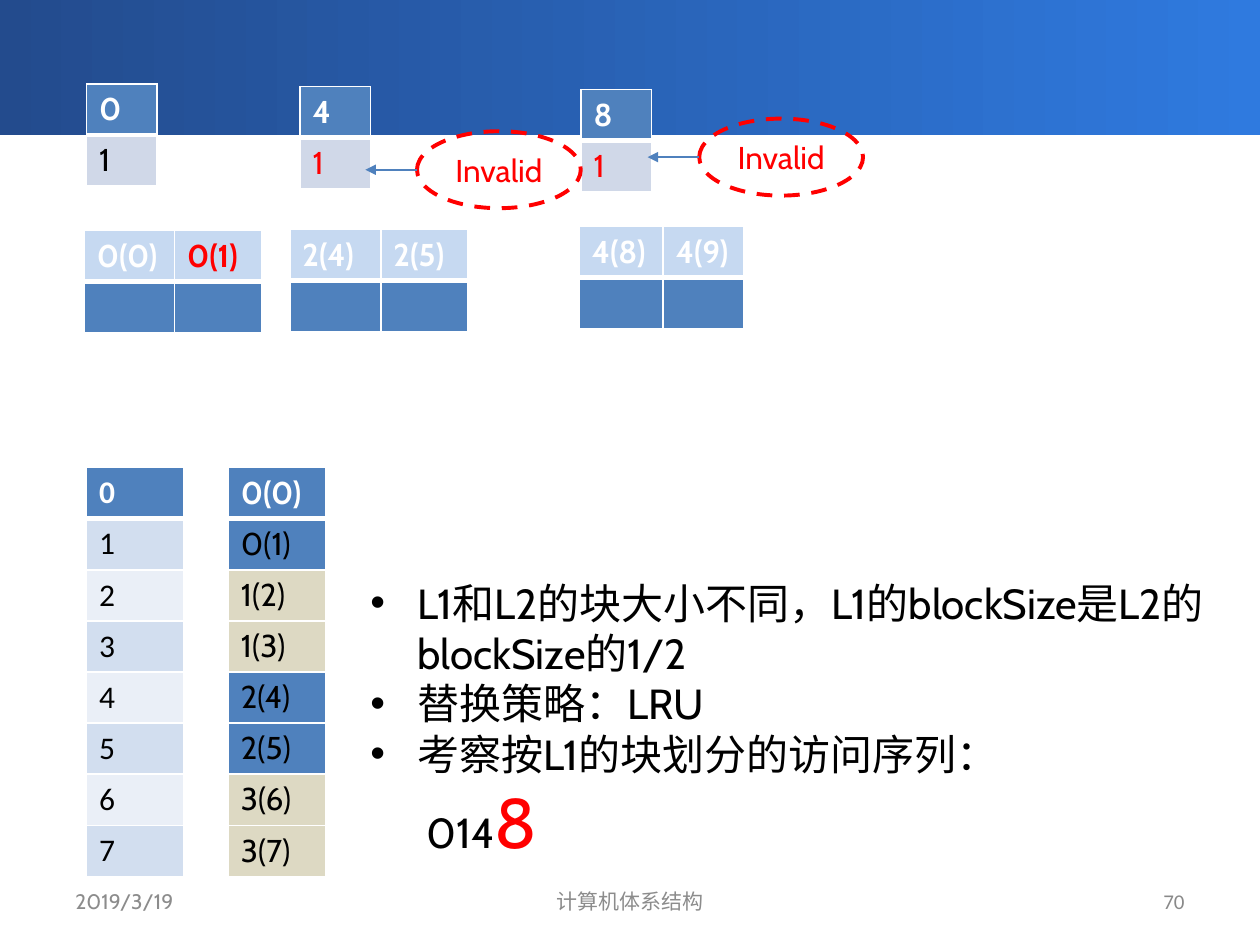
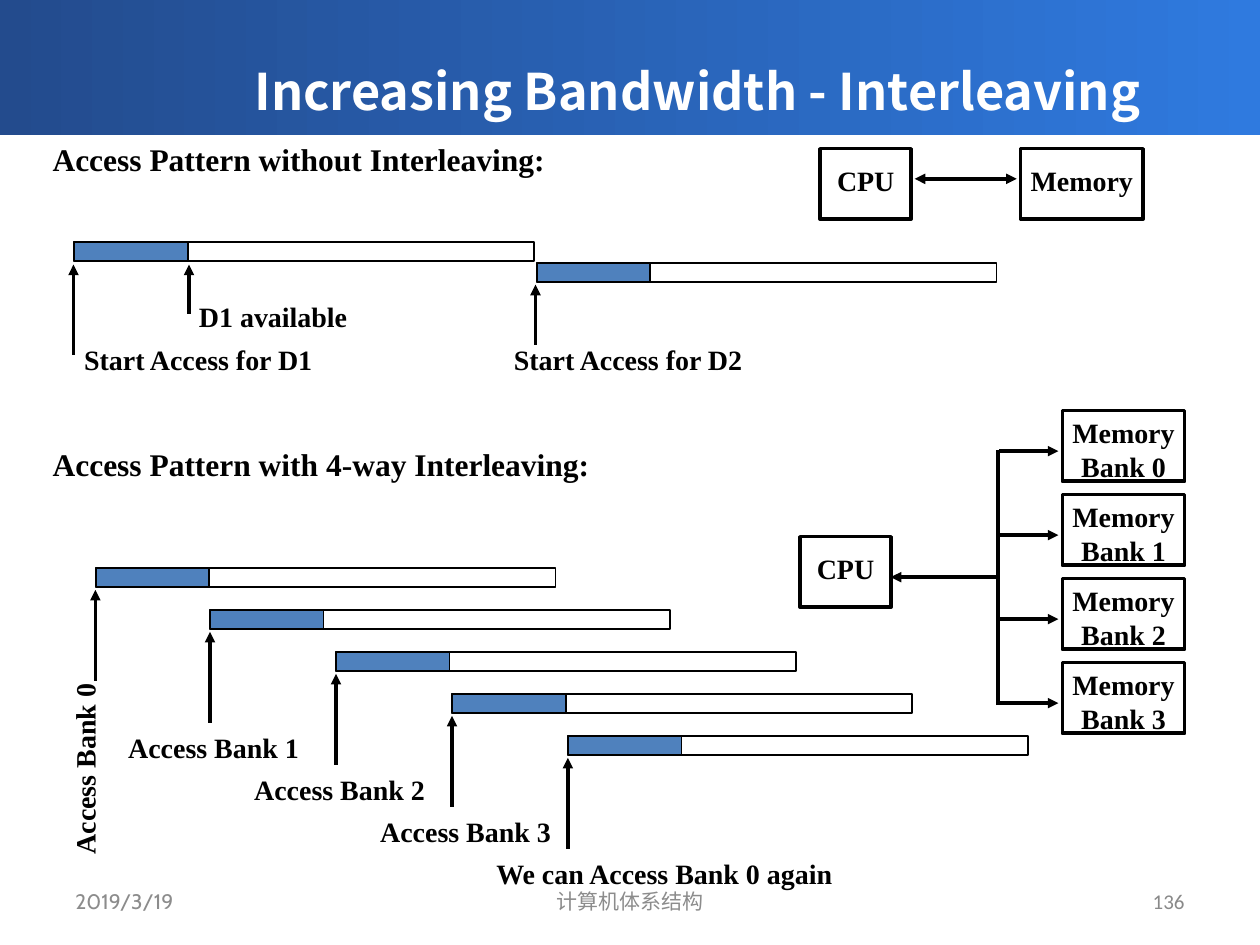
"""Build two computer architecture slides: cache block states and memory interleaving."""
from lxml.etree import SubElement
from pptx import Presentation
from pptx.dml.color import RGBColor
from pptx.enum.dml import MSO_LINE
from pptx.enum.shapes import MSO_CONNECTOR, MSO_SHAPE as SHAPE
from pptx.enum.text import MSO_ANCHOR as ANCHOR, PP_ALIGN as ALIGN
from pptx.oxml.ns import qn
from pptx.util import Pt

rgb = RGBColor.from_string
BLACK, WHITE, RED, BLUE = "000000", "FFFFFF", "FF0000", "4F81BD"
PALE, GREY_BLUE, TAN = "C6D9F1", "D0D8E8", "DDD9C3"
TIMES, CABIN, CALIBRI, CJK = "Times New Roman", "Cabin", "Calibri", "Noto Sans CJK SC"


def text(tf, content, font=TIMES, size=16, color=BLACK, bold=False,
         align=ALIGN.LEFT, anchor=ANCHOR.TOP, inset=(7.2, 3.6)):
    tf.word_wrap = True
    tf.vertical_anchor = anchor
    tf.margin_left = tf.margin_right = Pt(inset[0])
    tf.margin_top = tf.margin_bottom = Pt(inset[1])
    for i, line in enumerate(content.split("\n")):
        p = tf.add_paragraph() if i else tf.paragraphs[0]
        p.alignment = align
        r = p.add_run()
        r.text = line
        r.font.name, r.font.size, r.font.bold = font, Pt(size), bold
        r.font.color.rgb = rgb(color)
        SubElement(r._r.get_or_add_rPr(), qn("a:ea"), typeface=CJK)


def connect(s, x1, y1, x2, y2, color=BLACK, width=2, ends=()):
    c = s.shapes.add_connector(MSO_CONNECTOR.STRAIGHT, Pt(x1), Pt(y1), Pt(x2), Pt(y2))
    c.line.color.rgb = rgb(color)
    c.line.width = Pt(width)
    sp_pr = c._element.spPr
    for end in ends:
        SubElement(sp_pr.find(qn("a:ln")), qn(f"a:{end}End"), type="triangle")
    SubElement(sp_pr, qn("a:effectLst"))


prs = Presentation()
prs.slide_width, prs.slide_height = Pt(720), Pt(540)

slides = []
for number in ("70", "136"):
    s = prs.slides.add_slide(prs.slide_layouts[6])
    slides.append(s)
    band = s.shapes.add_shape(SHAPE.RECTANGLE, 0, 0, Pt(720), Pt(77))
    band.shadow.inherit = False
    band.line.fill.background()
    band.fill.gradient()
    band.fill.gradient_angle = 0
    for stop, color in zip(band.fill.gradient_stops, ("234B8D", "2F7ADF")):
        stop.color.rgb = rgb(color)
    for x, w, content, font, color, align in (
            (36, 168, "2019/3/19", CABIN, "8C8C8C", ALIGN.LEFT),
            (246, 228, "计算机体系结构", CABIN, "8C8C8C", ALIGN.CENTER),
            (516, 168, number, CALIBRI, "898989", ALIGN.RIGHT)):
        tf = s.shapes.add_textbox(Pt(x), Pt(500.5), Pt(w), Pt(28.8)).text_frame
        text(tf, content, font=font, size=12, color=color, align=align, anchor=ANCHOR.MIDDLE)

s = slides[0]
tables = []
for x, y, tag, color in ((49.5, 48, "0", BLACK), (171.5, 49.5, "4", RED), (332, 51.2, "8", RED)):
    tables.append((x, y, [40.3], CABIN, [[(tag, BLUE, WHITE)], [("1", GREY_BLUE, color)]]))
for x, y, widths, left, right, color in (
        (48.2, 131.8, [51.5, 49.7], "0(0)", "0(1)", RED),
        (165.6, 131.2, [52, 49.7], "2(4)", "2(5)", WHITE),
        (331, 129.5, [48, 46], "4(8)", "4(9)", WHITE)):
    rows = [[(left, PALE, WHITE), (right, PALE, color)], [("", BLUE, WHITE)] * 2]
    tables.append((x, y, widths, CABIN, rows))
addresses, blocks = [], []
for i in range(8):
    color = BLACK if i else WHITE
    stripe = ("D2DEEF" if i % 2 else "EAEFF7") if i else BLUE
    addresses.append([(str(i), stripe, color)])
    blocks.append([(f"{i // 2}({i})", BLUE if i in (0, 1, 4, 5) else TAN, color)])
tables.append((49.5, 267.2, [55.5], CALIBRI, addresses))
tables.append((130.5, 267.2, [55.5], CABIN, blocks))

for x, y, widths, font, rows in tables:
    table = s.shapes.add_table(len(rows), len(widths), Pt(x), Pt(y),
                               Pt(sum(widths)), Pt(29.2 * len(rows))).table
    for column, w in zip(table.columns, widths):
        column.width = Pt(w)
    for i, row in enumerate(rows):
        table.rows[i].height = Pt(29.2)
        for j, (content, fill, color) in enumerate(row):
            cell = table.cell(i, j)
            thick = {0: "lnB", 1: "lnT"}.get(i)
            for side in ("lnL", "lnR", "lnT", "lnB"):
                ln = SubElement(cell._tc.get_or_add_tcPr(), qn(f"a:{side}"),
                                w=str(Pt(3 if side == thick else 1)))
                SubElement(SubElement(ln, qn("a:solidFill")), qn("a:srgbClr"), val=WHITE)
            cell.fill.solid()
            cell.fill.fore_color.rgb = rgb(fill)
            if content:
                text(cell.text_frame, content, font=font, size=18, color=color, bold=i == 0)

for x, y in ((238.3, 75), (399.6, 67.8)):
    sp = s.shapes.add_shape(SHAPE.OVAL, Pt(x), Pt(y), Pt(93.6), Pt(44))
    sp.shadow.inherit = False
    sp.fill.background()
    sp.line.color.rgb = rgb(RED)
    sp.line.width = Pt(2.25)
    sp.line.dash_style = MSO_LINE.DASH
    text(sp.text_frame, "Invalid", font=CABIN, size=18, color=RED,
         align=ALIGN.CENTER, anchor=ANCHOR.MIDDLE)
    connect(s, x, y + 22, x - 29.5, y + 22, color=BLUE, width=1, ends=["tail"])

tf = s.shapes.add_textbox(Pt(204.5), Pt(326.2), Pt(503.3), Pt(200)).text_frame
text(tf, "L1和L2的块大小不同，L1的blockSize是L2的blockSize的1/2\n"
     "替换策略：LRU\n考察按L1的块划分的访问序列：\n014", font=CABIN, size=24)
*bullets, sequence = tf.paragraphs
for p in bullets:
    pPr = p._p.get_or_add_pPr()
    pPr.set("marL", str(Pt(27)))
    pPr.set("indent", str(Pt(-27)))
    SubElement(pPr, qn("a:buFont"), typeface="Arial")
    SubElement(pPr, qn("a:buChar"), char="•")
sequence._p.get_or_add_pPr().set("marL", str(Pt(32)))
r = sequence.add_run()
r.text = "8"
r.font.name, r.font.size = CABIN, Pt(40)
r.font.color.rgb = rgb(RED)

s = slides[1]
tf = s.shapes.add_textbox(Pt(85), Pt(28.8), Pt(627), Pt(45.4)).text_frame
text(tf, "Increasing Bandwidth - Interleaving", font=CJK, size=28.8, color=WHITE,
     bold=True, align=ALIGN.CENTER, anchor=ANCHOR.MIDDLE)

bank_bars = [(x, 324.7 + 24 * i) for i, x in enumerate((54.7, 120.2, 192.2, 258.5, 324.7))]
for x, y in [(42.5, 138.2), (306.7, 150.5)] + bank_bars:
    for w, filled in ((64.8, True), (262.8, False)):
        sp = s.shapes.add_shape(SHAPE.RECTANGLE, Pt(x), Pt(y), Pt(w), Pt(10.8))
        sp.shadow.inherit = False
        sp.line.color.rgb = rgb(BLACK)
        sp.line.width = Pt(1)
        if filled:
            sp.fill.solid()
            sp.fill.fore_color.rgb = rgb(BLUE)
        else:
            sp.fill.background()

for x, y in bank_bars:
    connect(s, x - 0.2, y + 12.4, x - 0.2, y + 64.4, ends=["head"])
for x, top, bottom in ((42, 151.2, 203), (108, 151.2, 179.3), (306, 162.7, 197.3)):
    connect(s, x, top, x, bottom, ends=["head"])

labels = [
    (23, 76.3, 340, 18, 0, "Access Pattern without Interleaving:"),
    (23, 250.5, 370, 18, 0, "Access Pattern with 4-way Interleaving:"),
    (41, 192.2, 160, 16, 0, "Start Access for D1"),
    (286.6, 192.2, 160, 16, 0, "Start Access for D2"),
    (106.6, 167.8, 115, 16, 0, "D1 available"),
    (-8, 425.5, 113, 16, 270, "Access Bank 0"),
]
bank_labels = ("Access Bank 1", "Access Bank 2", "Access Bank 3", "We can Access Bank 0 again")
for x, (_, y), content in zip((66.2, 138.2, 210.2, 276.5), bank_bars[1:], bank_labels):
    labels.append((x, y + 65.5, 220, 16, 0, content))
for x, y, w, size, turn, content in labels:
    box = s.shapes.add_textbox(Pt(x), Pt(y), Pt(w), Pt(26.6))
    box.rotation = turn
    text(box.text_frame, content, size=size, bold=True)

units = [(468.7, 85, 52, 8.6, "CPU"), (583.2, 85, 70, 8.6, "Memory"), (457.2, 306.7, 52, 8.6, "CPU")]
for i in range(4):
    units.append((607, 234.7 + 48 * i, 70, 2.9, f"Memory\nBank {i}"))
    connect(s, 571, 257.8 + 48 * i, 604.8, 257.8 + 48 * i, ends=["tail"])
for x, y, w, top, content in units:
    sp = s.shapes.add_shape(SHAPE.RECTANGLE, Pt(x), Pt(y), Pt(w), Pt(40.3))
    sp.shadow.inherit = False
    sp.fill.background()
    sp.line.color.rgb = rgb(BLACK)
    sp.line.width = Pt(2)
    text(sp.text_frame, content, bold=True, align=ALIGN.CENTER, inset=(0, top))

connect(s, 522.7, 102.2, 581, 102.2, ends=["head", "tail"])
connect(s, 570.3, 403, 570.3, 257, ends=[])
connect(s, 571, 329.8, 509, 329.8, ends=["tail"])

prs.save("out.pptx")
